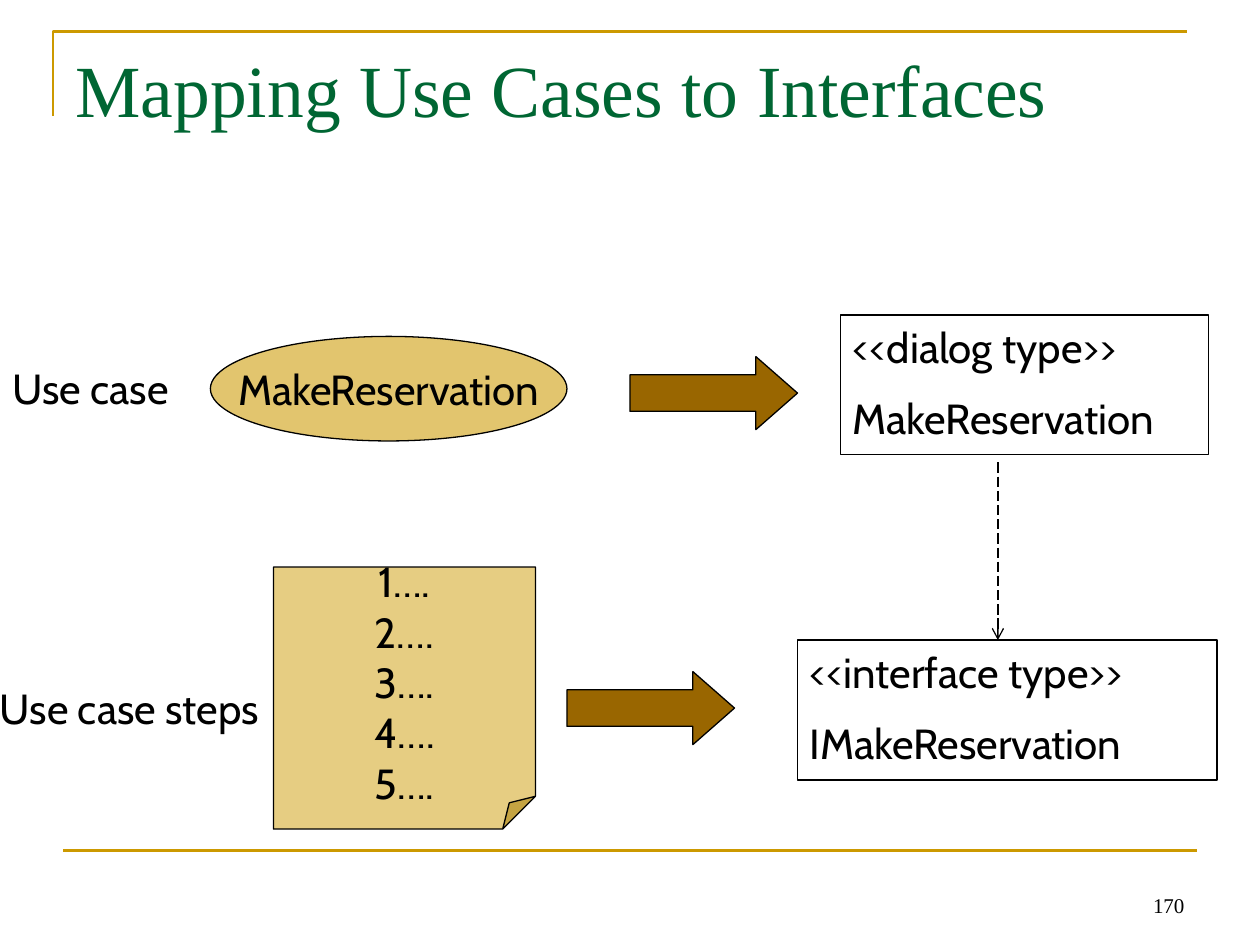
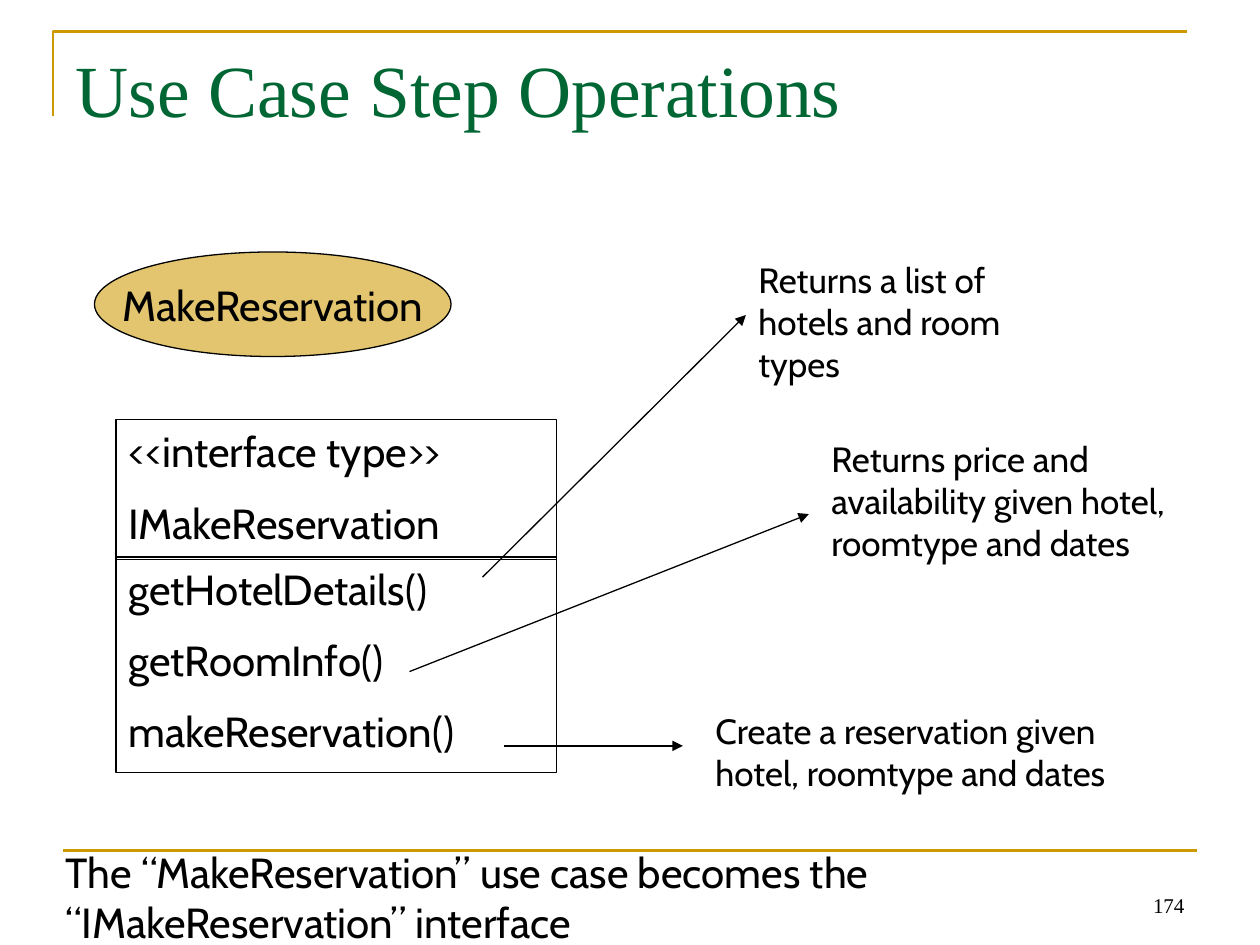
from lxml.etree import SubElement
from pptx import Presentation
from pptx.dml.color import RGBColor
from pptx.enum.dml import MSO_LINE
from pptx.enum.shapes import MSO_CONNECTOR, MSO_SHAPE
from pptx.enum.text import MSO_ANCHOR, MSO_AUTO_SIZE, PP_ALIGN
from pptx.oxml.ns import qn
from pptx.util import Inches, Pt

BLACK, GOLD, BROWN, GREEN = "000000", "CC9900", "996600", "006633"
BODY_FONT, TITLE_FONT = "Cabin", "Times New Roman"
TITLE_ONLY = 5


def rgb(color):
    return RGBColor.from_string(color)


def write(sp, lines, size=24, font=BODY_FONT, color=BLACK, align=PP_ALIGN.LEFT,
          anchor=MSO_ANCHOR.TOP, wrap=True, gap=0):
    """Put one paragraph per line into the shape, gap points apart."""
    tf = sp.text_frame
    tf.auto_size = MSO_AUTO_SIZE.NONE
    tf.word_wrap = wrap
    tf.vertical_anchor = anchor
    tf.text = "\n".join(lines)
    for i, p in enumerate(tf.paragraphs):
        p.alignment = align
        p.space_before = Pt(gap if i else 0)
        for r in p.runs:
            r.font.size = Pt(size)
            r.font.name = font
            r.font.color.rgb = rgb(color)


def add_text(s, box, *lines, **style):
    write(s.shapes.add_textbox(*map(Inches, box)), lines, **style)


def style_line(line, color=BLACK, width=0.75):
    line.color.rgb = rgb(color)
    line.width = Pt(width)


def add_outlined(s, kind, box, fill=None, opacity=None):
    """Add a black-outlined shape; opacity is a percentage."""
    sp = s.shapes.add_shape(kind, *map(Inches, box))
    sp.shadow.inherit = False
    style_line(sp.line)
    if fill is None:
        sp.fill.background()
        return sp
    sp.fill.solid()
    sp.fill.fore_color.rgb = rgb(fill)
    if opacity:
        srgb = sp._element.spPr.find(qn("a:solidFill")).find(qn("a:srgbClr"))
        SubElement(srgb, qn("a:alpha")).set("val", str(opacity * 1000))
    return sp


def add_line(s, start, end, color=BLACK, width=0.75, head=None, dash=None):
    line = s.shapes.add_connector(MSO_CONNECTOR.STRAIGHT,
                                  *map(Inches, start + end))
    style_line(line.line, color, width)
    if dash:
        line.line.dash_style = dash
    spPr = line._element.spPr
    if head:
        SubElement(spPr.find(qn("a:ln")), qn("a:tailEnd")).set("type", head)
    SubElement(spPr, qn("a:effectLst"))


def add_frame(s):
    """Draw the gold corner above the title and the rule above the footer."""
    left, top, right, bottom = map(Inches, (0.42, 0.25, 9.42, 0.92))
    builder = s.shapes.build_freeform(left, bottom)
    builder.add_line_segments([(left, top), (right, top)], close=False)
    corner = builder.convert_to_shape()
    corner.shadow.inherit = False
    corner.fill.background()
    style_line(corner.line, GOLD, 1.5)
    add_line(s, (0.5, 6.75), (9.5, 6.75), GOLD, 1.5)


def add_slide(prs, title, number):
    s = prs.slides.add_slide(prs.slide_layouts[TITLE_ONLY])
    add_frame(s)
    sp = s.shapes.title
    sp.left, sp.top, sp.width, sp.height = map(Inches, (0.5, 0.3, 9, 1.25))
    write(sp, [title], size=42, font=TITLE_FONT, color=GREEN)
    add_text(s, (7.17, 6.83, 2.33, 0.5), number, size=12, font=TITLE_FONT,
             align=PP_ALIGN.RIGHT, anchor=MSO_ANCHOR.BOTTOM)
    return s


def add_use_case(s, left, top):
    sp = add_outlined(s, MSO_SHAPE.OVAL, (left, top, 2.83, 0.83), GOLD, 57)
    write(sp, ["MakeReservation"], align=PP_ALIGN.CENTER,
          anchor=MSO_ANCHOR.MIDDLE, wrap=False)


def add_steps_note(s, left, top):
    sp = add_outlined(s, MSO_SHAPE.FOLDED_CORNER, (left, top, 2.08, 2.08),
                      GOLD, 49)
    guides = sp._element.spPr.find(qn("a:prstGeom")).find(qn("a:avLst"))
    fold = SubElement(guides, qn("a:gd"))
    fold.set("name", "adj")
    fold.set("fmla", "val 12500")
    write(sp, [f"{n}…." for n in range(1, 6)], align=PP_ALIGN.CENTER,
          anchor=MSO_ANCHOR.MIDDLE, wrap=False)


def add_type_box(s, box, *lines):
    write(add_outlined(s, MSO_SHAPE.RECTANGLE, box), lines, gap=12)


def add_mapping_arrow(s, left, top):
    sp = add_outlined(s, MSO_SHAPE.RIGHT_ARROW, (left, top, 1.33, 0.58), BROWN)
    sp.adjustments[1] = 0.57


def build_mapping_slide(prs):
    s = add_slide(prs, "Mapping Use Cases to Interfaces", "170")
    add_use_case(s, 1.67, 2.67)
    add_text(s, (0, 2.83, 1.6, 0.5), "Use case")
    add_type_box(s, (6.67, 2.5, 2.92, 1.11), "<<dialog type>>", "MakeReservation")
    add_type_box(s, (6.33, 5.08, 3.33, 1.11),
                 "<<interface type>>", "IMakeReservation")
    add_line(s, (7.92, 3.67), (7.92, 5.08), head="arrow", dash=MSO_LINE.LONG_DASH)
    add_steps_note(s, 2.17, 4.5)
    add_text(s, (-0.1, 5.37, 2.38, 0.5), "Use case steps")
    for left, top in ((5, 2.83), (4.5, 5.33)):
        add_mapping_arrow(s, left, top)


def build_operations_slide(prs):
    s = add_slide(prs, "Use Case Step Operations", "174")
    add_use_case(s, 0.75, 2)
    add_type_box(s, (0.92, 3.33, 3.5, 1.11),
                 "<<interface type>>", "IMakeReservation")
    add_type_box(s, (0.92, 4.42, 3.5, 1.71),
                 "getHotelDetails()", "getRoomInfo()", "makeReservation()")
    results = [
        ((5.92, 2, 2.75, 1.1), "Returns a list of hotels and room types",
         (3.83, 4.58), (5.92, 2.5)),
        ((6.5, 3.42, 3.08, 1.1),
         "Returns price and availability given hotel, roomtype and dates",
         (3.25, 5.33), (6.42, 4.08)),
        ((5.58, 5.58, 3.67, 0.77),
         "Create a reservation given hotel, roomtype and dates",
         (4, 5.92), (5.42, 5.92)),
    ]
    for box, result, start, end in results:
        add_text(s, box, result, size=20)
        add_line(s, start, end, head="triangle")
    add_text(s, (0.42, 6.67, 7.33, 0.9),
             "The “MakeReservation” use case becomes the “IMakeReservation” interface")


def main():
    prs = Presentation()
    prs.slide_width, prs.slide_height = Inches(10), Inches(7.5)
    build_mapping_slide(prs)
    build_operations_slide(prs)
    prs.save("out.pptx")


if __name__ == "__main__":
    main()
